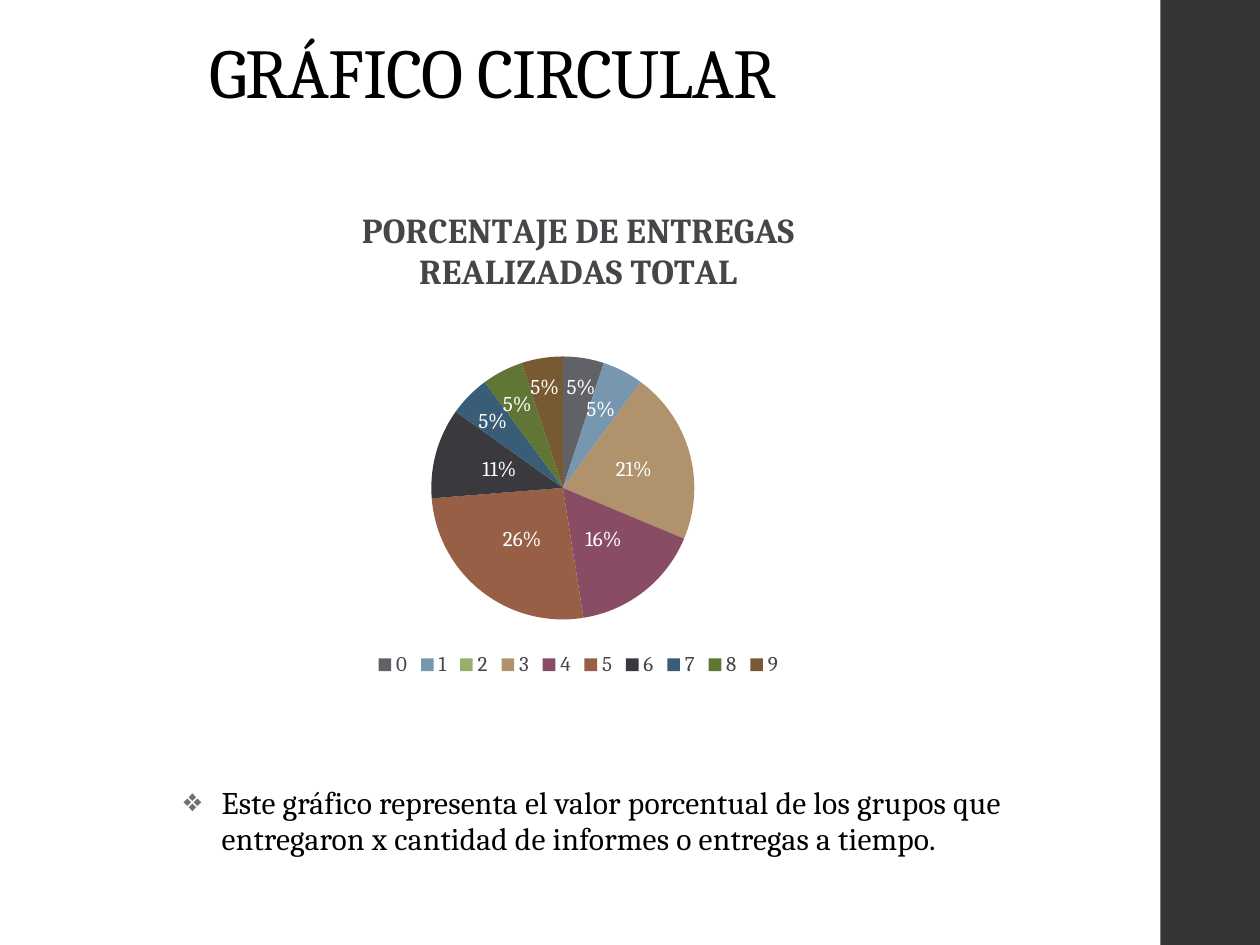
from copy import deepcopy

from pptx import Presentation, oxml
from pptx import util as u
from pptx.chart import data as chart_data
from pptx.dml import color
from pptx.enum import chart as chart_enum
from pptx.enum import shapes, text
from pptx.oxml import ns

COLORS = {"bar": "353537", "text": "000000", "bullet": "6F6F74",
          "chart_text": "46464A", "label": "FFFFFF"}
SLICE_COLORS = ["616168", "7797AE", "97AE6D", "B0926C", "884C64",
                "985F47", "3A3A3E", "395D76", "5F7634", "785A32"]
SHARES = [5, 5, 0, 21, 16, 26, 11, 5, 5, 5]
LABEL_OFFSETS = {0: (0.01, -0.07), 1: (0.01, -0.04), 3: (0.01, 0),
                 7: (-0.03, -0.04), 8: (-0.02, -0.05), 9: (-0.01, -0.07)}
PLOT_AREA = {"x": 0.31, "y": 0.34, "w": 0.34, "h": 0.54}


def set_font(font, size, color_name, bold=False):
    values = {"name": "Cambria", "size": u.Pt(size), "bold": bold}
    for name, value in values.items():
        setattr(font, name, value)
    font.color.rgb = color.RGBColor.from_string(COLORS[color_name])


def fill_placeholder(shape, box, content, size, spacing, paragraph_format):
    for name, value in zip(("left", "top", "width", "height"), box):
        setattr(shape, name, u.Inches(value))
    frame = shape.text_frame
    frame.text = content
    frame.word_wrap = True
    frame.auto_size = text.MSO_AUTO_SIZE.NONE
    paragraph = frame.paragraphs[0]
    for name, value in paragraph_format.items():
        setattr(paragraph, name, value)
    run = paragraph.runs[0]
    set_font(run.font, size, "text")
    run.font._element.set("spc", str(spacing))
    return paragraph


presentation = Presentation()
presentation.slide_width = u.Inches(10)
presentation.slide_height = u.Inches(7.5)
slide = presentation.slides.add_slide(presentation.slide_layouts[1])

bar = slide.shapes.add_shape(shapes.MSO_SHAPE.RECTANGLE, u.Inches(9.21), 0,
                             u.Inches(0.8), u.Inches(7.5))
bar.shadow.inherit = False
bar.fill.solid()
bar.fill.fore_color.rgb = color.RGBColor.from_string(COLORS["bar"])
bar.line.fill.background()

title = slide.shapes.title
fill_placeholder(title, (1.56, 0.21, 5.99, 0.74), "GRÁFICO CIRCULAR", 40, -50,
                 {"alignment": text.PP_ALIGN.LEFT, "line_spacing": 0.9})
title.text_frame.vertical_anchor = text.MSO_ANCHOR.BOTTOM

explanation = fill_placeholder(
    slide.placeholders[1], (1.06, 6.19, 7.05, 1.1),
    "Este gráfico representa el valor porcentual de los grupos que "
    "entregaron x cantidad de informes o entregas a tiempo.", 18, 10,
    {"alignment": text.PP_ALIGN.LEFT, "line_spacing": 0.95,
     "space_before": u.Pt(14), "space_after": u.Pt(2)})
properties = explanation._p.get_or_add_pPr()
properties.set("marL", str(u.Inches(0.6)))
properties.set("indent", str(u.Inches(-0.31)))
for bullet in (f'<a:buClr {ns.nsdecls("a")}><a:srgbClr val="{COLORS["bullet"]}"/></a:buClr>',
               f'<a:buSzPct {ns.nsdecls("a")} val="80000"/>',
               f'<a:buFont {ns.nsdecls("a")} typeface="Cambria"/>',
               f'<a:buChar {ns.nsdecls("a")} char="❖"/>'):
    properties.append(oxml.parse_xml(bullet))

deliveries = chart_data.CategoryChartData()
deliveries.categories = [str(count) for count in range(10)]
deliveries.add_series("Series 1", SHARES)
chart = slide.shapes.add_chart(
    chart_enum.XL_CHART_TYPE.PIE, u.Inches(1.52), u.Inches(1.47),
    u.Inches(6.14), u.Inches(3.94), deliveries).chart
set_font(chart.font, 10, "text")

chart.has_title = True
chart_title = chart.chart_title.text_frame
chart_title.text = "PORCENTAJE DE ENTREGAS REALIZADAS TOTAL"
set_font(chart_title.paragraphs[0].runs[0].font, 20, "chart_text", True)

chart.has_legend = True
chart.legend.position = chart_enum.XL_LEGEND_POSITION.BOTTOM
chart.legend.include_in_layout = False
set_font(chart.legend.font, 12, "chart_text")

plot = chart.plots[0]
plot.vary_by_categories = True
series = plot.series[0]
for index, slice_color in enumerate(SLICE_COLORS):
    slice_format = series.points[index].format
    slice_format.fill.solid()
    slice_format.fill.fore_color.rgb = color.RGBColor.from_string(slice_color)
    slice_format.line.fill.background()

labels = series.data_labels
for name, value in {"show_percentage": True, "show_value": False,
                    "show_category_name": False, "show_series_name": False,
                    "show_legend_key": False, "number_format": "0%",
                    "number_format_is_linked": False,
                    "position": chart_enum.XL_LABEL_POSITION.CENTER}.items():
    setattr(labels, name, value)
set_font(labels.font, 12, "label")

labels_xml = labels._element
shared_format = [deepcopy(child) for child in labels_xml
                 if not child.tag.endswith("showLeaderLines")]
point_labels = []
for index in sorted([2, *LABEL_OFFSETS]):
    label = oxml.parse_xml(f'<c:dLbl {ns.nsdecls("c")}><c:idx val="{index}"/></c:dLbl>')
    if index in LABEL_OFFSETS:
        x, y = LABEL_OFFSETS[index]
        label.append(oxml.parse_xml(
            f'<c:layout {ns.nsdecls("c")}><c:manualLayout>'
            f'<c:x val="{x}"/><c:y val="{y}"/></c:manualLayout></c:layout>'))
        label.extend(deepcopy(shared_format))
    else:
        label.append(oxml.parse_xml(f'<c:delete {ns.nsdecls("c")} val="1"/>'))
    point_labels.append(label)
labels_xml[0:0] = point_labels

plot_area = chart._chartSpace.chart.plotArea
for layout in plot_area.findall(ns.qn("c:layout")):
    plot_area.remove(layout)
sizes = "".join(f'<c:{key} val="{value}"/>' for key, value in PLOT_AREA.items())
plot_area.insert(0, oxml.parse_xml(
    f'<c:layout {ns.nsdecls("c")}><c:manualLayout><c:layoutTarget val="inner"/>'
    f'<c:xMode val="edge"/><c:yMode val="edge"/>{sizes}</c:manualLayout></c:layout>'))

presentation.save("out.pptx")
